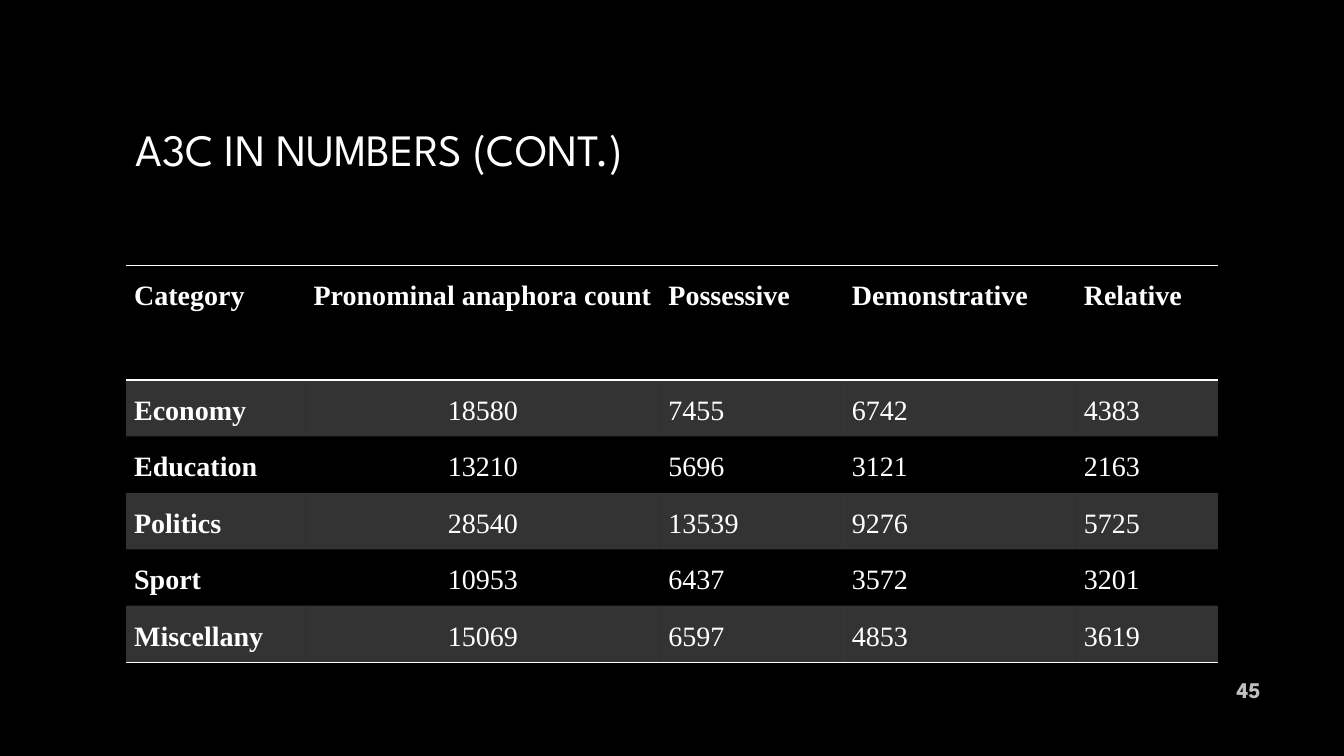
from lxml import etree
from pptx import Presentation
from pptx.dml.color import RGBColor
from pptx.enum.text import MSO_ANCHOR, PP_ALIGN
from pptx.oxml.ns import qn
from pptx.util import Inches, Pt

LEFT, RIGHT = PP_ALIGN.LEFT, PP_ALIGN.RIGHT
CENTER, FULL = PP_ALIGN.CENTER, PP_ALIGN.JUSTIFY
MIDDLE, TOP = MSO_ANCHOR.MIDDLE, MSO_ANCHOR.TOP
PLAIN = "{2D5ABB26-0587-4C30-8999-92F81FD0307C}"
COLORS = {"back": "000000", "text": "FFFFFF", "page": "BFBFBF"}
SANS, SERIF = "League Spartan", "Times New Roman"


def write(frame, text, align, color, form):
    para = frame.paragraphs[0]
    para.alignment = align
    run = para.add_run()
    run.text = text
    for key, value in form.items():
        setattr(run.font, key, value)
    run.font.color.rgb = RGBColor.from_string(COLORS[color])
    return para


def rule(props, tag, spot):
    line = etree.Element(qn(tag), w=str(Pt(1)))
    fill = etree.SubElement(line, qn("a:solidFill"))
    etree.SubElement(fill, qn("a:srgbClr"), val=COLORS["text"])
    props.insert(spot, line)


deck = Presentation()
deck.slide_width, deck.slide_height = Inches(13.33), Inches(7.5)
slide = deck.slides.add_slide(deck.slide_layouts[6])
slide.background.fill.solid()
slide.background.fill.fore_color.rgb = RGBColor.from_string(COLORS["back"])

labels = [
    ("A3C IN NUMBERS (CONT.)", (1.25, 0.67, 10.83, 1.61), LEFT, "text",
     {"name": SANS, "size": Pt(32)}),
    ("45", (11.5, 6.43, 1.1, 0.82), RIGHT, "page",
     {"name": SANS, "size": Pt(16), "bold": True}),
]
for text, place, align, color, form in labels:
    frame = slide.shapes.add_textbox(*map(Inches, place)).text_frame
    frame.word_wrap = True
    frame.vertical_anchor = MIDDLE
    write(frame, text, align, color, form)

rows = [
    ("Category", "Pronominal anaphora count", "Possessive", "Demonstrative", "Relative"),
    ("Economy", "18580", "7455", "6742", "4383"),
    ("Education", "13210", "5696", "3121", "2163"),
    ("Politics", "28540", "13539", "9276", "5725"),
    ("Sport", "10953", "6437", "3572", "3201"),
    ("Miscellany", "15069", "6597", "4853", "3619"),
]
widths = [1.78, 3.52, 1.82, 2.3, 1.41]
heights = [1.14] + [0.56] * (len(rows) - 1)
margins = {"margin_left": Inches(0.08), "margin_right": Inches(0.08),
           "margin_top": 0, "margin_bottom": 0, "vertical_anchor": TOP}

holder = slide.shapes.add_table(
    len(rows), len(widths), Inches(1.25), Inches(2.63),
    Inches(sum(widths)), Inches(sum(heights)))
table = holder.table
table.first_row = table.horz_banding = False
holder._element.find(".//" + qn("a:tableStyleId")).text = PLAIN
for column, width in zip(table.columns, widths):
    column.width = Inches(width)
for row, height in zip(table.rows, heights):
    row.height = Inches(height)

for r, row in enumerate(rows):
    for c, text in enumerate(row):
        cell = table.cell(r, c)
        for key, value in margins.items():
            setattr(cell, key, value)
        align = CENTER if r and c == 1 else FULL
        form = {"name": SERIF, "size": Pt(20), "bold": r == 0 or c == 0}
        para = write(cell.text_frame, text, align, "text", form)
        para.line_spacing = 1.5
        props = cell._tc.get_or_add_tcPr()
        if r % 2:
            cell.fill.solid()
            cell.fill.fore_color.rgb = RGBColor.from_string(COLORS["text"])
            shade = props.find(".//" + qn("a:srgbClr"))
            etree.SubElement(shade, qn("a:alpha"), val="20000")
        else:
            cell.fill.background()
        if r in (0, len(rows) - 1):
            rule(props, "a:lnB", 0)
        if r == 0:
            rule(props, "a:lnT", 0)

deck.save("out.pptx")
